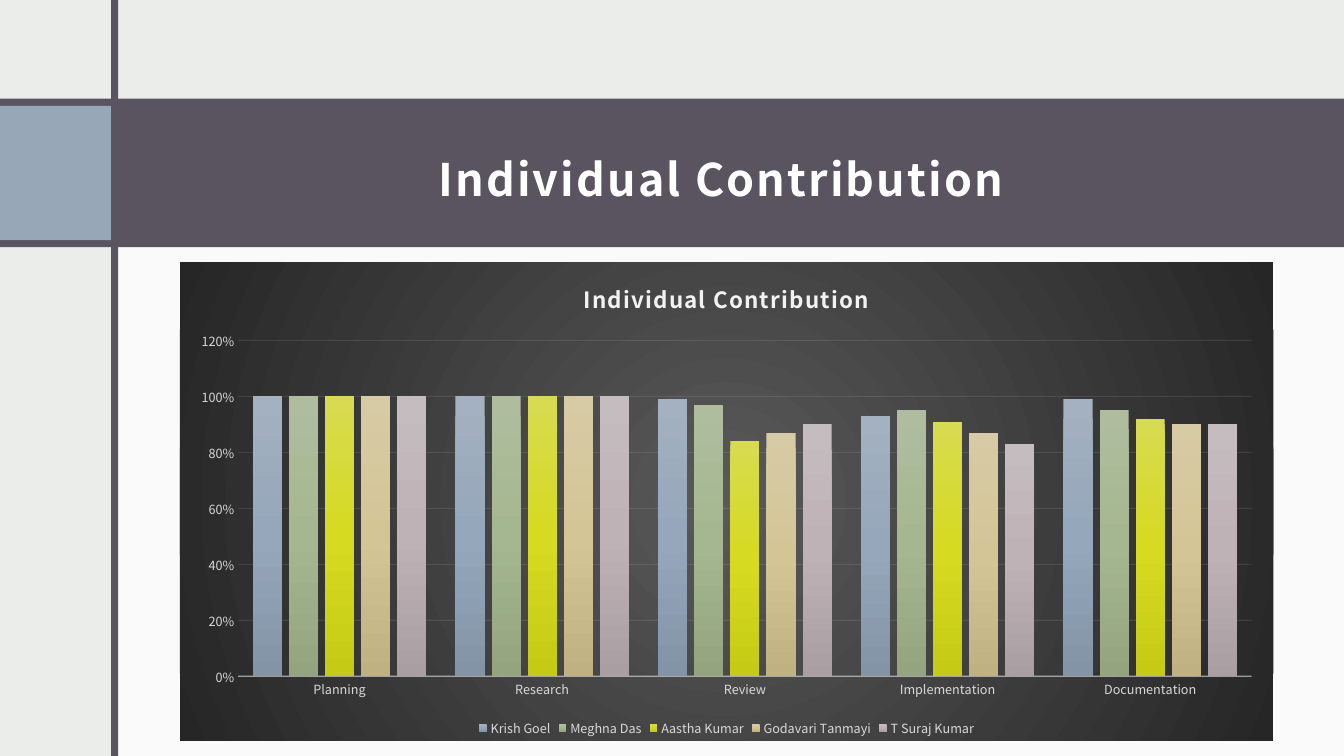
from lxml import etree
from pptx import Presentation
from pptx.chart.data import CategoryChartData
from pptx.dml.color import RGBColor
from pptx.enum.chart import XL_CHART_TYPE, XL_LEGEND_POSITION, XL_TICK_MARK
from pptx.enum.shapes import MSO_SHAPE
from pptx.enum.text import MSO_ANCHOR, PP_ALIGN
from pptx.oxml.ns import qn
from pptx.util import Pt

RECT = MSO_SHAPE.RECTANGLE
COLUMNS = XL_CHART_TYPE.COLUMN_CLUSTERED
BOTTOM = XL_LEGEND_POSITION.BOTTOM
NO_TICK = XL_TICK_MARK.NONE
MIDDLE = MSO_ANCHOR.MIDDLE
CENTER = PP_ALIGN.CENTER

FONT = "Noto Sans CJK JP"
TITLE = "Individual Contribution"
TASKS = ["Planning", "Research", "Review", "Implementation", "Documentation"]
# name, values, gradient from top to bottom
MEMBERS = [
    ("Krish Goel", (1, 1, 0.99, 0.93, 0.99), ("A3B1C0", "95A7BA", "8394A7")),
    ("Meghna Das", (1, 1, 0.97, 0.95, 0.95), ("AFBD9E", "A5B790", "93A47E")),
    ("Aastha Kumar", (1, 1, 0.84, 0.91, 0.92), ("D7DB51", "D6DA20", "C5CA14")),
    ("Godavari Tanmayi", (1, 1, 0.87, 0.87, 0.9), ("D7CBA5", "D4C596", "C0B182")),
    ("T Suraj Kumar", (1, 1, 0.9, 0.83, 0.9), ("C5BCBF", "BEB2B6", "A99EA1")),
]
CHART_GLOW = ("595959", "262626")
DARK, LIGHT, PALE, WHITE = "595460", "D9D9D9", "F2F2F2", "FFFFFF"
SLIDE_W, SLIDE_H = 960, 540
# left, top, width, height, colour, opacity in percent
PANELS = [
    (82, 168, 878, 372, WHITE, 75),
    (0, 70.5, SLIDE_W, 106, DARK, 100),
    (0, 75.6, 79.2, 96, "97A7B8", 100),
    (79.4, 0, 5, SLIDE_H, DARK, 100),
]
TITLE_BOX = (121, 75.6, 788.4, 96)
TITLE_INSETS = (8.64, 14.4, 8.64, 7.2)
CHART_BOX = (128.4, 187.2, 781.2, 342)


def rgb(color):
    return RGBColor.from_string(color)


def points(values):
    return [Pt(v) for v in values]


def set_opacity(el, percent):
    for clr in el.iter(qn("a:srgbClr")):
        etree.SubElement(clr, qn("a:alpha"), val=str(percent * 1000))


def gradient(colors, radial=False):
    """Return an a:gradFill with evenly spaced stops, downward or from the centre."""
    grad = etree.Element(qn("a:gradFill"))
    stops = etree.SubElement(grad, qn("a:gsLst"))
    for i, color in enumerate(colors):
        gs = etree.SubElement(stops, qn("a:gs"), pos=str(100000 * i // (len(colors) - 1)))
        etree.SubElement(gs, qn("a:srgbClr"), val=color)
    if radial:
        way = etree.SubElement(grad, qn("a:path"), path="circle")
        etree.SubElement(way, qn("a:fillToRect"), l="50000", t="50000", r="50000", b="50000")
    else:
        etree.SubElement(grad, qn("a:lin"), ang="5400000", scaled="0")
    return grad


def style_font(font, size, color, bold=False):
    font.name, font.size, font.bold = FONT, Pt(size), bold
    font.color.rgb = rgb(color)


def write(tf, text, size, color, bold=False, spacing=0):
    p = tf.paragraphs[0]
    p.alignment = CENTER
    r = p.add_run()
    r.text = text
    style_font(r.font, size, color, bold)
    r.font._element.set("spc", str(int(spacing * 100)))


def add_panel(slide, left, top, width, height, color, opacity):
    sp = slide.shapes.add_shape(RECT, *points((left, top, width, height)))
    sp.shadow.inherit = False
    sp.fill.solid()
    sp.fill.fore_color.rgb = rgb(color)
    sp.line.fill.background()
    if opacity < 100:
        set_opacity(sp.fill._xPr, opacity)


def add_title(slide):
    tf = slide.shapes.add_textbox(*points(TITLE_BOX)).text_frame
    tf.word_wrap = True
    tf.vertical_anchor = MIDDLE
    tf.margin_left, tf.margin_top, tf.margin_right, tf.margin_bottom = points(TITLE_INSETS)
    write(tf, TITLE, 32, WHITE, bold=True, spacing=1.5)


def add_contribution_chart(slide):
    data = CategoryChartData(number_format="0%")
    data.categories = TASKS
    for name, values, _ in MEMBERS:
        data.add_series(name, values)
    chart = slide.shapes.add_chart(COLUMNS, *points(CHART_BOX), data).chart
    style_font(chart.font, 10, "000000")
    write(chart.chart_title.text_frame, TITLE, 16, PALE, bold=True, spacing=1)
    chart.chart_title.include_in_layout = False

    sp_pr = etree.Element(qn("c:spPr"))
    sp_pr.append(gradient(CHART_GLOW, radial=True))
    etree.SubElement(etree.SubElement(sp_pr, qn("a:ln")), qn("a:noFill"))
    chart._chartSpace.find(qn("c:chart")).addnext(sp_pr)

    plot = chart.plots[0]
    plot.gap_width, plot.overlap, plot.vary_by_categories = 100, -24, False
    for series, (_, _, colors) in zip(plot.series, MEMBERS):
        series.format.line.fill.background()
        series._element.find(qn("c:spPr")).insert(0, gradient(colors))

    tasks, share = chart.category_axis, chart.value_axis
    for axis in (tasks, share):
        axis.major_tick_mark = axis.minor_tick_mark = NO_TICK
        style_font(axis.tick_labels.font, 9, LIGHT)
    share.minimum_scale, share.maximum_scale, share.major_unit = 0, 1.2, 0.2
    share.tick_labels.number_format = "0%"
    share.tick_labels.number_format_is_linked = False
    share.format.line.fill.background()
    for line, width in ((tasks.format.line, 1), (share.major_gridlines.format.line, 0.75)):
        line.width = Pt(width)
        line.color.rgb = rgb(PALE)
    set_opacity(tasks._element.find(qn("c:spPr")), 54)
    set_opacity(share._element.find(qn("c:majorGridlines")), 10)

    chart.has_legend = True
    chart.legend.position = BOTTOM
    chart.legend.include_in_layout = False
    style_font(chart.legend.font, 9, LIGHT)


def main():
    prs = Presentation()
    prs.slide_width, prs.slide_height = Pt(SLIDE_W), Pt(SLIDE_H)
    slide = prs.slides.add_slide(prs.slide_layouts[6])
    slide.background.fill.solid()
    slide.background.fill.fore_color.rgb = rgb("EBEDEB")
    for panel in PANELS:
        add_panel(slide, *panel)
    add_title(slide)
    add_contribution_chart(slide)
    prs.save("out.pptx")


if __name__ == "__main__":
    main()
